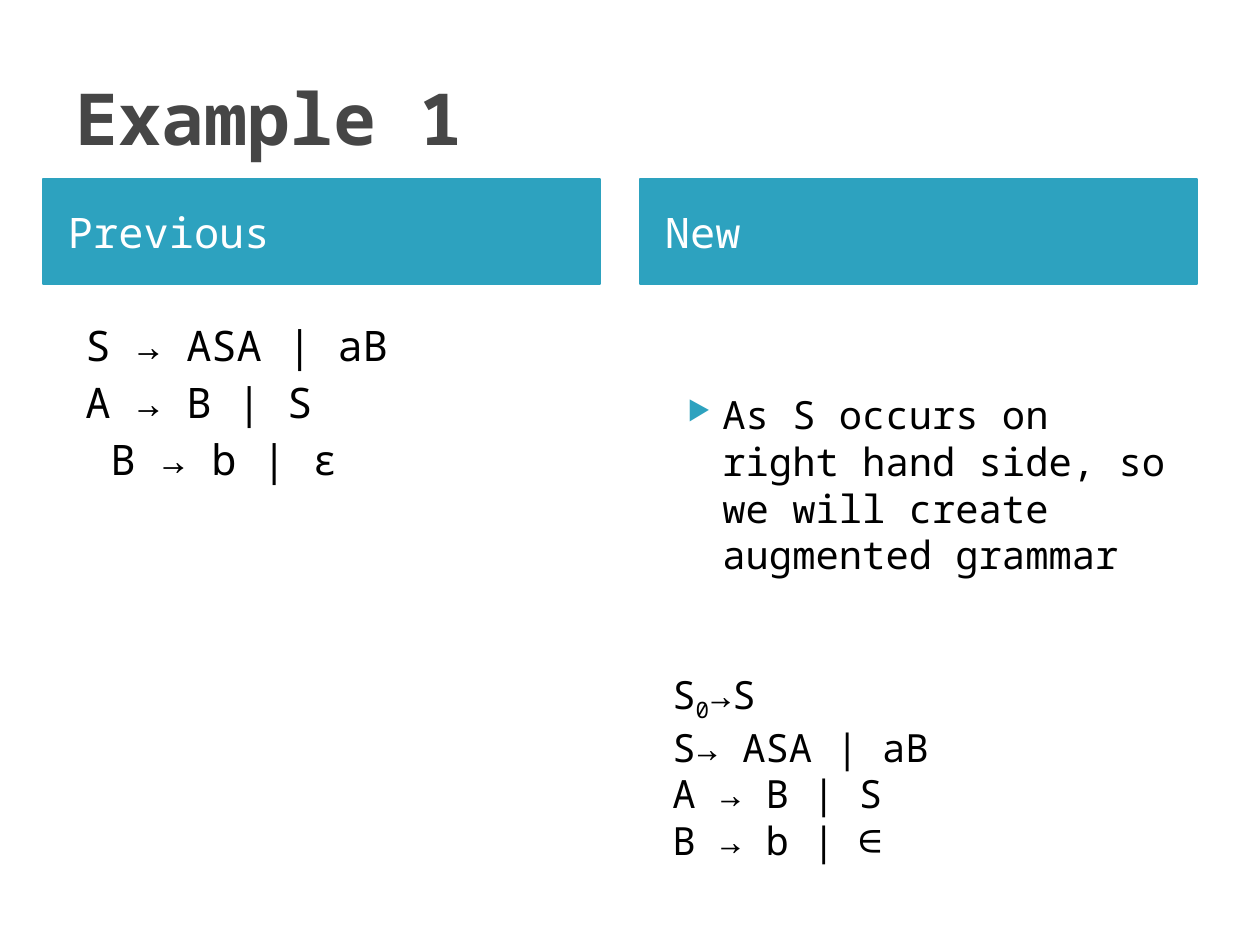
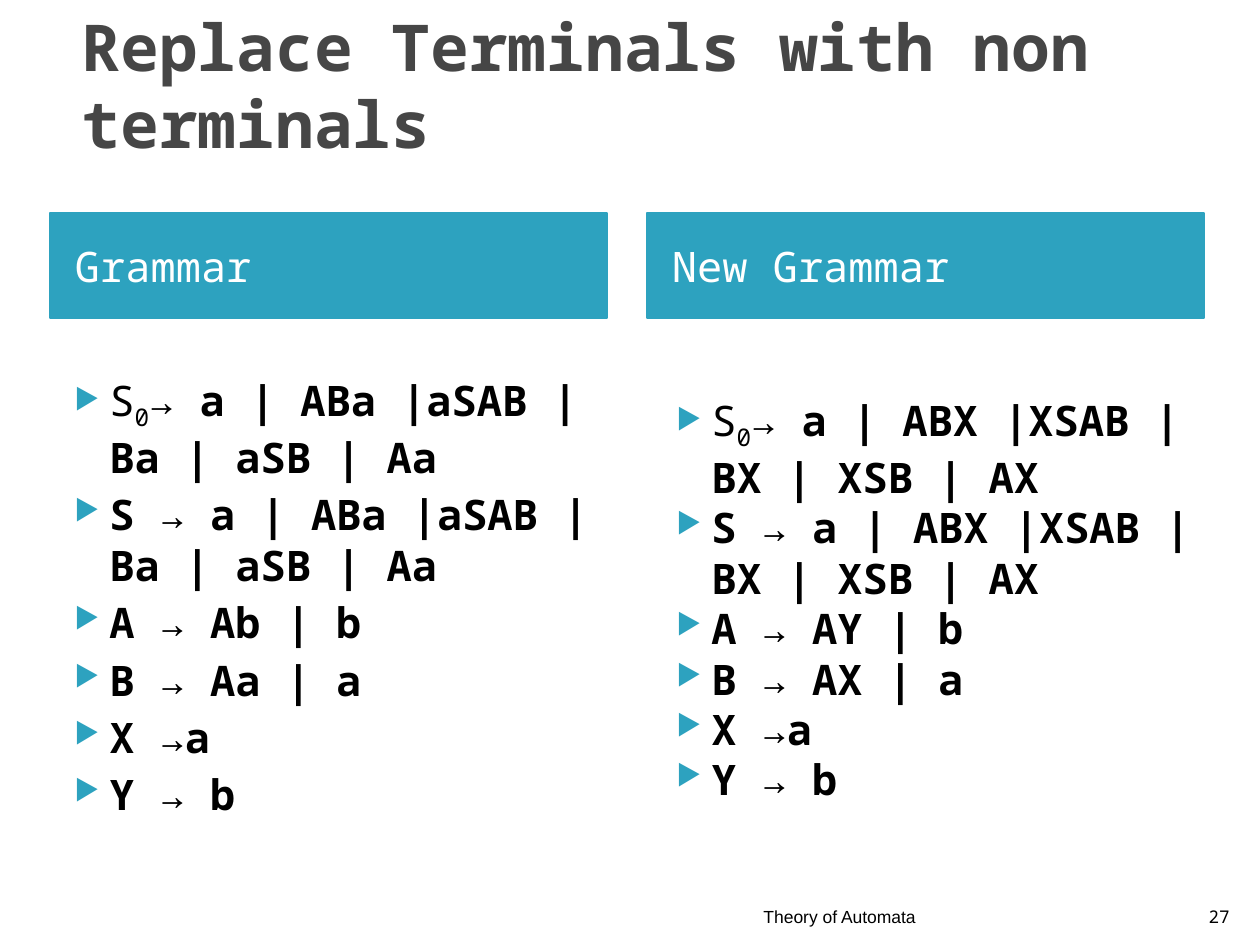
from dataclasses import dataclass

from lxml import etree
from pptx import Presentation
from pptx.dml.color import RGBColor
from pptx.enum.shapes import MSO_SHAPE
from pptx.enum.text import MSO_ANCHOR, MSO_AUTO_SIZE, PP_ALIGN
from pptx.oxml.ns import qn
from pptx.util import Emu, Pt

RECTANGLE = MSO_SHAPE.RECTANGLE
TOP, MIDDLE, BOTTOM = MSO_ANCHOR.TOP, MSO_ANCHOR.MIDDLE, MSO_ANCHOR.BOTTOM
LEFT, RIGHT = PP_ALIGN.LEFT, PP_ALIGN.RIGHT
NO_AUTOFIT = MSO_AUTO_SIZE.NONE
TITLE_ONLY = 5
PX_PER_INCH = 126


@dataclass(frozen=True)
class Theme:
    mono: str = "Noto Sans Mono"
    sans: str = "Arial"
    accent: str = "2DA2BF"
    title: str = "464646"
    ink: str = "000000"
    paper: str = "FFFFFF"
    rule_size: float = 24
    note_size: float = 22.2
    footer_size: float = 10


THEME = Theme()
START = "S_0"  # start symbol, set with a subscript
BAND_SIZE = (557, 105)
BAND_PITCH = 597
TITLE_SIZE = (1134, 158)
BULLET_MARGIN, BULLET_HANG = 50, 35

# Lines are (text, options); options are margin, bullet, bold and space before.
BULLET = {"bullet": True}
SPACED = {"before": 4}
BOLD_BULLET = {"bullet": True, "bold": True}

SLIDES = [
    {
        "title": ("Example 1", (63, 38), 41),
        "bands": (("Previous", "New"), (43, 179)),
        "columns": [
            ((73, 313, 547, 590), THEME.rule_size, [
                ("S → ASA | aB", SPACED),
                ("A → B | S", SPACED),
                ("B → b | ε", SPACED | {"margin": 25}),
            ]),
            ((660, 385, 537, 507), THEME.note_size, [
                ("As S occurs on right hand side, so we will create "
                 "augmented grammar", BULLET),
                ("S_0→S", {"before": 53}),
                ("S→ ASA | aB", {}),
                ("A → B | S", {}),
                ("B → b | ∈", {}),
            ]),
        ],
        "footers": [],
    },
    {
        "title": ("Replace Terminals with non terminals", (69, 5), 36.9),
        "bands": (("Grammar", "New Grammar"), (50, 213)),
        "columns": [
            ((47, 368, 557, 543), THEME.rule_size, [
                (rule, BOLD_BULLET | SPACED) for rule in (
                    "S_0→ a | ABa |aSAB | Ba | aSB | Aa",
                    "S → a | ABa |aSAB | Ba | aSB | Aa",
                    "A → Ab | b", "B → Aa | a", "X →a", "Y → b")
            ]),
            ((649, 388, 557, 540), THEME.rule_size, [
                (rule, BOLD_BULLET) for rule in (
                    "S_0→ a | ABX |XSAB | BX | XSB | AX",
                    "S → a | ABX |XSAB | BX | XSB | AX",
                    "A → AY | b", "B → AX | a", "X →a", "Y → b")
            ]),
        ],
        "footers": [
            ("Theory of Automata", (604, 883, 324, 50), THEME.sans),
            ("27", (1192, 883, 50, 50), THEME.mono),
        ],
    },
]


def px(*lengths):
    return [Emu(round(length * 914400 / PX_PER_INCH)) for length in lengths]


def set_font(paragraph, size, color, name=THEME.mono, bold=False):
    font = paragraph.font
    font.name, font.size, font.bold = name, Pt(size), bold
    font.color.rgb = RGBColor.from_string(color)


def set_frame(frame, anchor):
    frame.word_wrap = True
    frame.auto_size = NO_AUTOFIT
    frame.vertical_anchor = anchor


def add_text_box(slide, box, anchor=TOP):
    frame = slide.shapes.add_textbox(*px(*box)).text_frame
    set_frame(frame, anchor)
    return frame


def indent(paragraph, margin, bullet):
    properties = paragraph._p.get_or_add_pPr()
    if bullet:
        margin = BULLET_MARGIN
        properties.set("indent", str(px(-BULLET_HANG)[0]))
        color = etree.SubElement(properties, qn("a:buClr"))
        etree.SubElement(color, qn("a:srgbClr"), val=THEME.accent)
        etree.SubElement(properties, qn("a:buSzPct"), val="68000")
        etree.SubElement(properties, qn("a:buChar"), char="▶")
    properties.set("marL", str(px(margin)[0]))


def add_line_runs(paragraph, line):
    """Write a line, with the start symbol light and its index lowered."""
    if line.startswith(START):
        letter, index = START.split("_")
        symbol = paragraph.add_run()
        symbol.text = letter
        subscript = paragraph.add_run()
        subscript.text = index
        subscript._r.get_or_add_rPr().set("baseline", "-25000")
        symbol.font.bold = subscript.font.bold = False
    paragraph.add_run().text = line.removeprefix(START)


def add_column(slide, box, size, lines):
    frame = add_text_box(slide, box)
    for number, (line, options) in enumerate(lines):
        paragraph = frame.add_paragraph() if number else frame.paragraphs[0]
        indent(paragraph, options.get("margin", 0), options.get("bullet"))
        paragraph.space_before = Pt(options.get("before", 0) if number else 0)
        add_line_runs(paragraph, line)
        set_font(paragraph, size, THEME.ink, bold=options.get("bold", False))


def add_band(slide, heading, left, top):
    band = slide.shapes.add_shape(RECTANGLE, *px(left, top, *BAND_SIZE))
    band.shadow.inherit = False
    accent = RGBColor.from_string(THEME.accent)
    band.fill.solid()
    band.fill.fore_color.rgb = accent
    band.line.color.rgb = accent
    band.line.width = Pt(0.75)
    frame = band.text_frame
    set_frame(frame, MIDDLE)
    frame.margin_left = px(25)[0]
    paragraph = frame.paragraphs[0]
    paragraph.text = heading
    paragraph.alignment = LEFT
    set_font(paragraph, THEME.rule_size, THEME.paper)
    # The shape style would otherwise decide the run colour.
    paragraph.runs[0].font.color.rgb = RGBColor.from_string(THEME.paper)


def set_title(slide, text, corner, size):
    title = slide.shapes.title
    title.left, title.top, title.width, title.height = px(*corner, *TITLE_SIZE)
    set_frame(title.text_frame, MIDDLE)
    paragraph = title.text_frame.paragraphs[0]
    paragraph.text = text
    paragraph.alignment = LEFT
    set_font(paragraph, size, THEME.title, bold=True)


def add_footer(slide, text, box, font_name):
    paragraph = add_text_box(slide, box, BOTTOM).paragraphs[0]
    paragraph.text = text
    paragraph.alignment = RIGHT
    set_font(paragraph, THEME.footer_size, THEME.ink, font_name)


def main():
    deck = Presentation()
    deck.slide_width, deck.slide_height = px(1260, 945)
    for content in SLIDES:
        slide = deck.slides.add_slide(deck.slide_layouts[TITLE_ONLY])
        set_title(slide, *content["title"])
        headings, (left, top) = content["bands"]
        for number, heading in enumerate(headings):
            add_band(slide, heading, left + number * BAND_PITCH, top)
        for column in content["columns"]:
            add_column(slide, *column)
        for footer in content["footers"]:
            add_footer(slide, *footer)
    deck.save("out.pptx")


if __name__ == "__main__":
    main()
